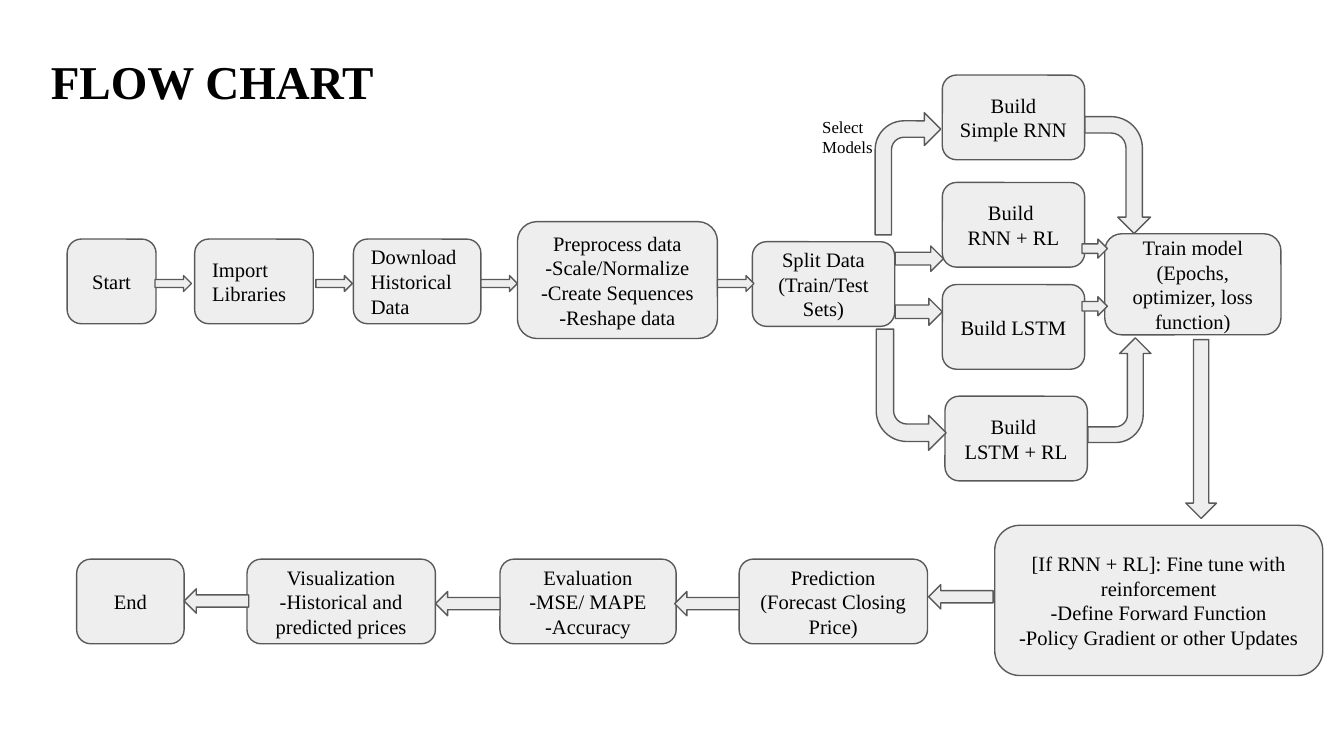
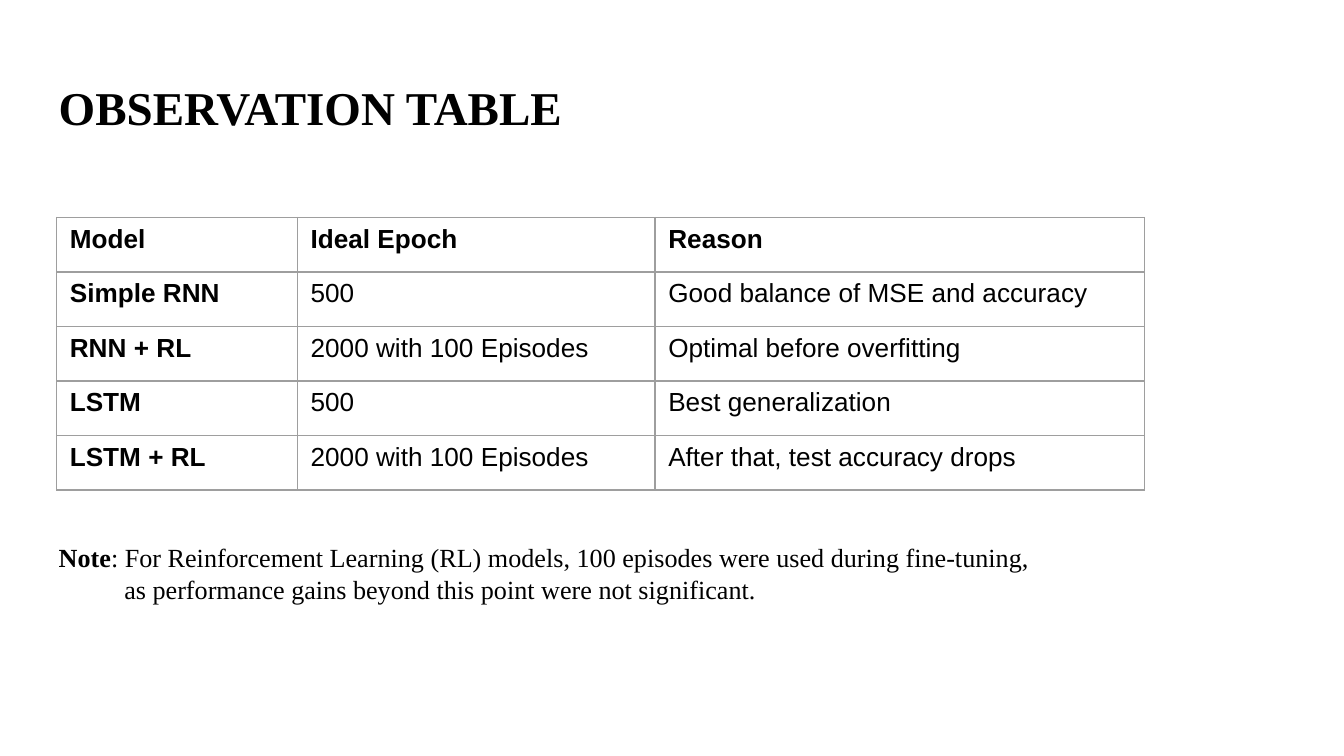
from lxml.etree import SubElement
from pptx import Presentation
from pptx.dml.color import RGBColor
from pptx.enum.shapes import MSO_SHAPE as SHAPE
from pptx.enum.text import MSO_ANCHOR as ANCHOR, PP_ALIGN as ALIGN
from pptx.oxml.ns import qn
from pptx.util import Cm, Pt

# Shared look
BLACK = RGBColor(0x00, 0x00, 0x00)
BOX_FILL = RGBColor(0xEE, 0xEE, 0xEE)
BOX_LINE = RGBColor(0x59, 0x59, 0x59)
GRID = RGBColor(0x9E, 0x9E, 0x9E)
SERIF, SANS = "Times New Roman", "Arial"
TITLE = {"name": SERIF, "size": Pt(25.2), "bold": True}
BOX = {"name": SERIF, "size": Pt(11), "bold": False}
LABEL = {"name": SERIF, "size": Pt(9), "bold": False}
NOTE = {"name": SERIF, "size": Pt(14), "bold": False}
CELL = {"name": SANS, "size": Pt(14), "bold": False}
INSET, THIN = 0.25, 0.13

# Flow chart: text, left, top, width, height
ROW_H, BUILD_W = 1.6, 2.69
BOXES = [
    ("Start", 1.27, 4.52, 1.68, ROW_H),
    ("Preprocess data\n-Scale/Normalize\n-Create Sequences\n-Reshape data",
     9.78, 4.19, 3.78, 2.21),
    ("Split Data (Train/Test Sets)", 14.22, 4.57, BUILD_W, ROW_H),
    ("Build Simple RNN", 17.81, 1.42, BUILD_W, ROW_H),
    ("Build \nRNN + RL", 17.81, 3.45, BUILD_W, ROW_H),
    ("Build LSTM", 17.81, 5.38, BUILD_W, ROW_H),
    ("Build \nLSTM + RL", 17.86, 7.49, BUILD_W, ROW_H),
    ("Train model (Epochs, optimizer, loss function)", 20.88, 4.42, 3.33, 1.91),
    ("[If RNN + RL]: Fine tune with reinforcement\n-Define Forward Function\n"
     "-Policy Gradient or other Updates", 18.8, 9.93, 6.2, 2.84),
    ("Prediction\n(Forecast Closing Price)", 13.97, 10.57, 3.56, ROW_H),
    ("Evaluation\n-MSE/ MAPE\n-Accuracy", 9.45, 10.57, 3.33, ROW_H),
    ("Visualization\n-Historical and predicted prices", 4.67, 10.57, 3.56, ROW_H),
    ("End", 1.45, 10.57, 2.03, ROW_H),
]
LEFT_BOXES = [
    ("Import Libraries", 3.68, 4.52, 2.24, ROW_H),
    ("Download Historical Data", 6.68, 4.52, 2.41, ROW_H),
]
# Arrows: left, top, width, height, rotation
STEP_ARROWS = [(x, 5.21, 0.69, 0.3, 0) for x in (2.93, 5.97, 9.09, 13.56)]
SPLIT_ARROWS = [(16.92, 4.65, 0.91, 0.48, 0), (16.92, 5.64, 0.89, 0.51, 0)]
TRAIN_ARROWS = [(20.45, y, 0.48, 0.36, 0) for y in (4.52, 5.61)]
BACK_ARROWS = [(x, y, 1.22, 0.46, 180) for x, y in
               ((17.55, 11.05), (12.75, 11.18), (8.23, 11.18), (3.48, 11.13))]
DOWN_ARROW = [(21.01, 7.82, 3.38, 0.58, 90)]
# Bent arrows: position and rotation, bend, mirrored
BENT_ARROWS = [
    ((16.54, 2.13, 1.24, 2.31, 0), 0.44, False),
    ((20.02, 2.69, 2.21, 1.24, 90), 0.48, False),
    ((16.56, 6.22, 1.32, 2.29, 180), 0.44, True),
    ((20.17, 6.78, 1.98, 1.19, 90), 0.44, True),
]

# Observation table
COL_W, TABLE_ROW_H = (4.55, 6.76, 9.25), 1.03
ROWS = [
    ("Model", "Ideal Epoch", "Reason"),
    ("Simple RNN", "500", "Good balance of MSE and accuracy"),
    ("RNN + RL", "2000 with 100 Episodes", "Optimal before overfitting"),
    ("LSTM", "500", "Best generalization"),
    ("LSTM + RL", "2000 with 100 Episodes", "After that, test accuracy drops"),
]


def add_run(p, text, fmt, **extra):
    r = p.add_run()
    r.text = text
    for key, value in {**fmt, **extra}.items():
        setattr(r.font, key, value)
    r.font.color.rgb = BLACK


def set_frame(tf, anchor=ANCHOR.TOP, pad=INSET):
    values = {"word_wrap": True, "vertical_anchor": anchor,
              "margin_left": Cm(INSET), "margin_right": Cm(INSET),
              "margin_top": Cm(pad), "margin_bottom": Cm(pad)}
    for key, value in values.items():
        setattr(tf, key, value)


def write(tf, text, fmt, align=ALIGN.LEFT):
    for i, line in enumerate(text.split("\n")):
        p = tf.add_paragraph() if i else tf.paragraphs[0]
        p.alignment = align
        add_run(p, line, fmt)


def add_titled_slide(prs, text, x, y):
    s = prs.slides.add_slide(prs.slide_layouts[5])
    sp = s.shapes.title
    sp.left, sp.top, sp.width, sp.height = Cm(x), Cm(y), Cm(23.67), Cm(1.6)
    set_frame(sp.text_frame)
    write(sp.text_frame, text, TITLE)
    return s


def add_text(s, x, y, w, h, pad=INSET):
    tf = s.shapes.add_textbox(Cm(x), Cm(y), Cm(w), Cm(h)).text_frame
    set_frame(tf, pad=pad)
    return tf


def add_grey_shape(s, kind, x, y, w, h, rotation=0):
    sp = s.shapes.add_shape(kind, Cm(x), Cm(y), Cm(w), Cm(h))
    sp.rotation = rotation
    sp.shadow.inherit = False
    sp.fill.solid()
    sp.fill.fore_color.rgb = BOX_FILL
    sp.line.color.rgb = BOX_LINE
    sp.line.width = Pt(0.75)
    return sp


def add_box(s, text, *place, align=ALIGN.CENTER):
    sp = add_grey_shape(s, SHAPE.ROUNDED_RECTANGLE, *place)
    set_frame(sp.text_frame, ANCHOR.MIDDLE)
    write(sp.text_frame, text, BOX, align)


def add_bent_arrow(s, place, bend, mirrored):
    sp = add_grey_shape(s, SHAPE.BENT_ARROW, *place)
    sp.adjustments[3] = bend
    if mirrored:
        sp._element.spPr.find(qn("a:xfrm")).set("flipH", "1")


def set_borders(cell):
    tcPr = cell._tc.get_or_add_tcPr()
    for side in ("a:lnL", "a:lnR", "a:lnT", "a:lnB"):
        ln = SubElement(tcPr, qn(side), w=str(Pt(0.75)))
        fill = SubElement(ln, qn("a:solidFill"))
        SubElement(fill, qn("a:srgbClr"), val=str(GRID))


def add_grid(s, x, y):
    table = s.shapes.add_table(len(ROWS), len(COL_W), Cm(x), Cm(y), Cm(sum(COL_W)),
                               Cm(TABLE_ROW_H * len(ROWS))).table
    table.first_row = table.horz_banding = False
    for col, w in zip(table.columns, COL_W):
        col.width = Cm(w)
    for i, row in enumerate(ROWS):
        for j, text in enumerate(row):
            cell = table.cell(i, j)
            for side in ("left", "right", "top", "bottom"):
                pad = INSET if side in ("left", "right") else THIN
                setattr(cell, f"margin_{side}", Cm(pad))
            set_borders(cell)
            cell.fill.background()
            add_run(cell.text_frame.paragraphs[0], text, CELL, bold=i == 0 or j == 0)


def add_note(s):
    tf = add_text(s, 0.86, 10.11, 19.13, 1.45, THIN)
    p = tf.paragraphs[0]
    add_run(p, "Note", NOTE, bold=True)
    add_run(p, ": For Reinforcement Learning (RL) models, 100 episodes "
               "were used during fine-tuning,", NOTE)
    p = tf.add_paragraph()
    p._p.get_or_add_pPr().set("marL", str(Cm(1.24)))
    add_run(p, "as performance gains beyond this point were not significant.", NOTE)


def build_flow_chart(prs):
    s = add_titled_slide(prs, "FLOW CHART", 0.71, 0.74)
    for box in BOXES:
        add_box(s, *box)
    for box in LEFT_BOXES:
        add_box(s, *box, align=ALIGN.LEFT)
    for place in STEP_ARROWS + SPLIT_ARROWS + TRAIN_ARROWS + BACK_ARROWS + DOWN_ARROW:
        add_grey_shape(s, SHAPE.RIGHT_ARROW, *place)
    for arrow in BENT_ARROWS:
        add_bent_arrow(s, *arrow)
    write(add_text(s, 15.29, 1.96, 1.55, 0.94), "Select Models", LABEL)


def build_observations(prs):
    s = add_titled_slide(prs, "OBSERVATION TABLE", 0.86, 1.24)
    add_grid(s, 1.07, 4.11)
    add_note(s)


def main():
    prs = Presentation()
    prs.slide_width, prs.slide_height = Cm(25.4), Cm(14.29)
    build_flow_chart(prs)
    build_observations(prs)
    prs.save("out.pptx")


if __name__ == "__main__":
    main()
